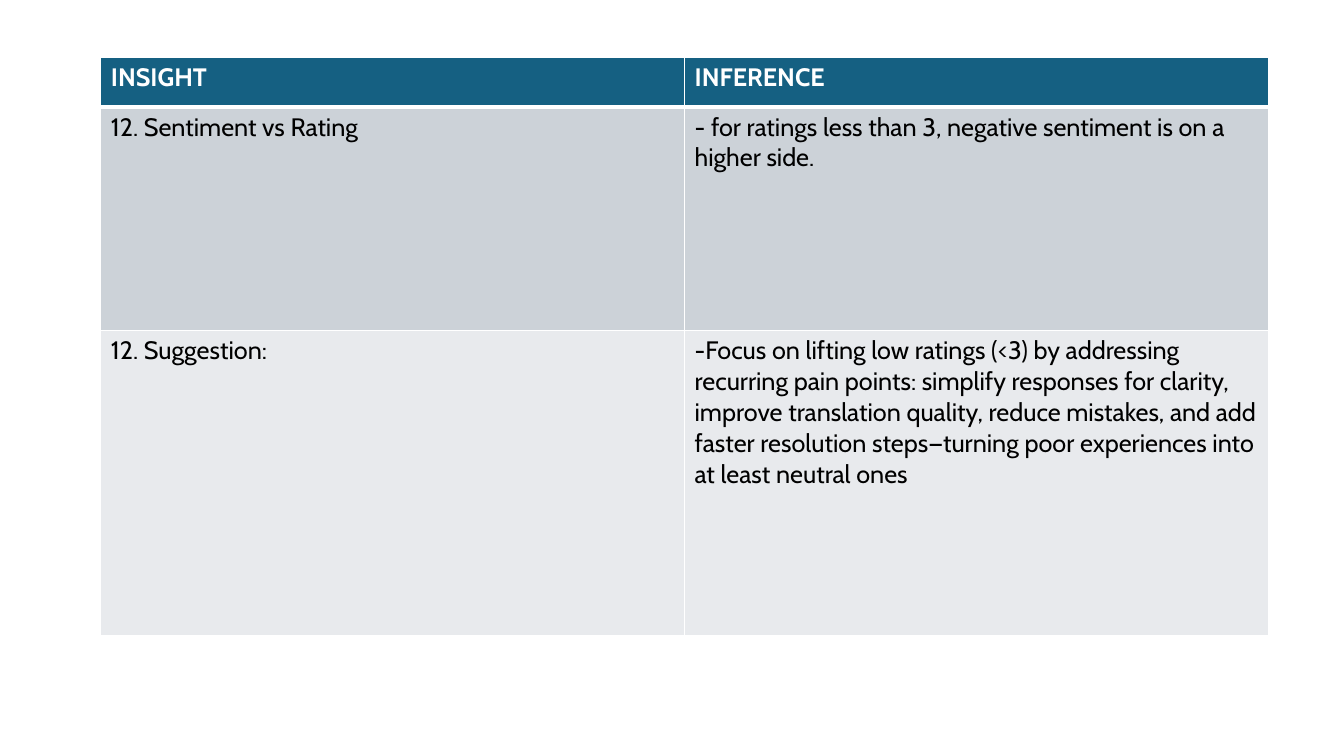
import pptx
import pptx.dml.color
import pptx.oxml
import pptx.oxml.ns
import pptx.util

COLORS = {
    "header": "156082",
    "insight": "CCD2D8",
    "suggestion": "E8EAED",
    "grid": "FFFFFF",
    "heading": "FFFFFF",
    "body": "000000",
}

ROWS = [
    ("header", 0.49, "INSIGHT", "INFERENCE"),
    (
        "insight",
        2.22,
        "12. Sentiment vs Rating",
        "- for ratings less than 3, negative sentiment is on a higher side.",
    ),
    (
        "suggestion",
        3.03,
        "12. Suggestion:",
        "-Focus on lifting low ratings (<3) by addressing recurring pain points: "
        "simplify responses for clarity, improve translation quality, reduce mistakes, "
        "and add faster resolution steps—turning poor experiences into at least neutral ones",
    ),
]


class InsightSlide:
    """Hold the style and the current slide, and add its elements."""

    font_name = "Cabin"
    font_size = pptx.util.Pt(18)

    def __init__(self, slide):
        self.slide = slide

    def color(self, name):
        return pptx.dml.color.RGBColor.from_string(COLORS[name])

    def border(self, cell, side, points):
        line = pptx.oxml.parse_xml(
            f'<a:{side} {pptx.oxml.ns.nsdecls("a")} w="{pptx.util.Pt(points)}">'
            f'<a:solidFill><a:srgbClr val="{COLORS["grid"]}"/></a:solidFill></a:{side}>'
        )
        cell._tc.get_or_add_tcPr().append(line)

    def cell(self, cell, text, band, top_width, bottom_width):
        is_header = band == "header"
        for side, points in zip(("lnL", "lnR", "lnT", "lnB"), (1, 1, top_width, bottom_width)):
            self.border(cell, side, points)
        cell.fill.solid()
        cell.fill.fore_color.rgb = self.color(band)
        cell.text = text
        font = cell.text_frame.paragraphs[0].font
        font.name = self.font_name
        font.size = self.font_size
        font.bold = is_header
        font.color.rgb = self.color("heading" if is_header else "body")

    def table(self, rows, left, top, width):
        inches = pptx.util.Inches
        height = sum(row_height for _, row_height, *_ in rows)
        findings = self.slide.shapes.add_table(
            len(rows), 2, inches(left), inches(top), inches(width), inches(height)
        ).table
        for row_index, (band, row_height, *texts) in enumerate(rows):
            findings.rows[row_index].height = inches(row_height)
            top_width = 3 if row_index == 1 else 1
            bottom_width = 3 if row_index == 0 else 1
            for column_index, text in enumerate(texts):
                self.cell(
                    findings.cell(row_index, column_index), text, band, top_width, bottom_width
                )


def main():
    presentation = pptx.Presentation()
    presentation.slide_width = pptx.util.Inches(13.33)
    presentation.slide_height = pptx.util.Inches(7.5)
    insight_slide = InsightSlide(presentation.slides.add_slide(presentation.slide_layouts[6]))
    insight_slide.table(ROWS, left=1, top=0.57, width=11.58)
    presentation.save("out.pptx")


if __name__ == "__main__":
    main()
